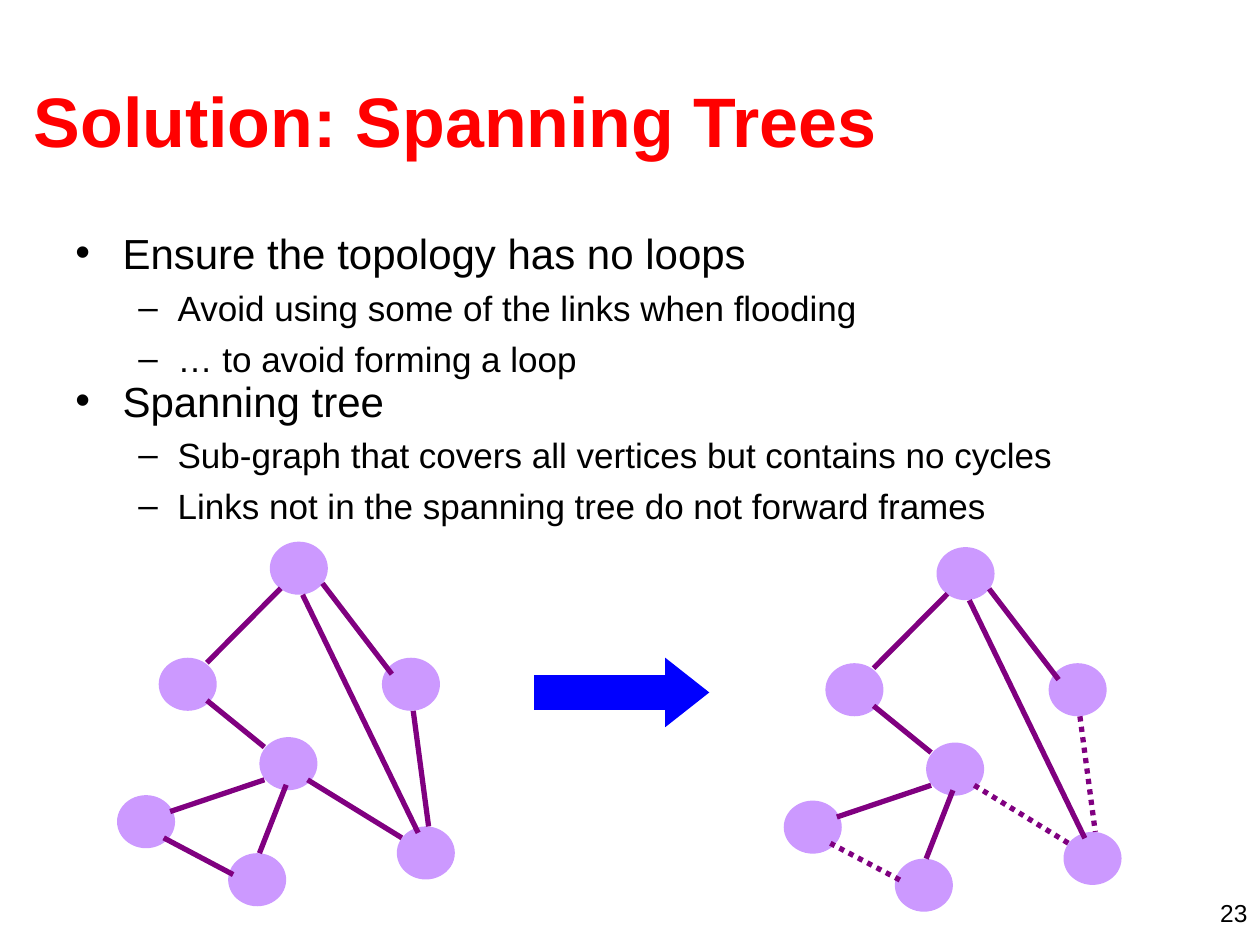
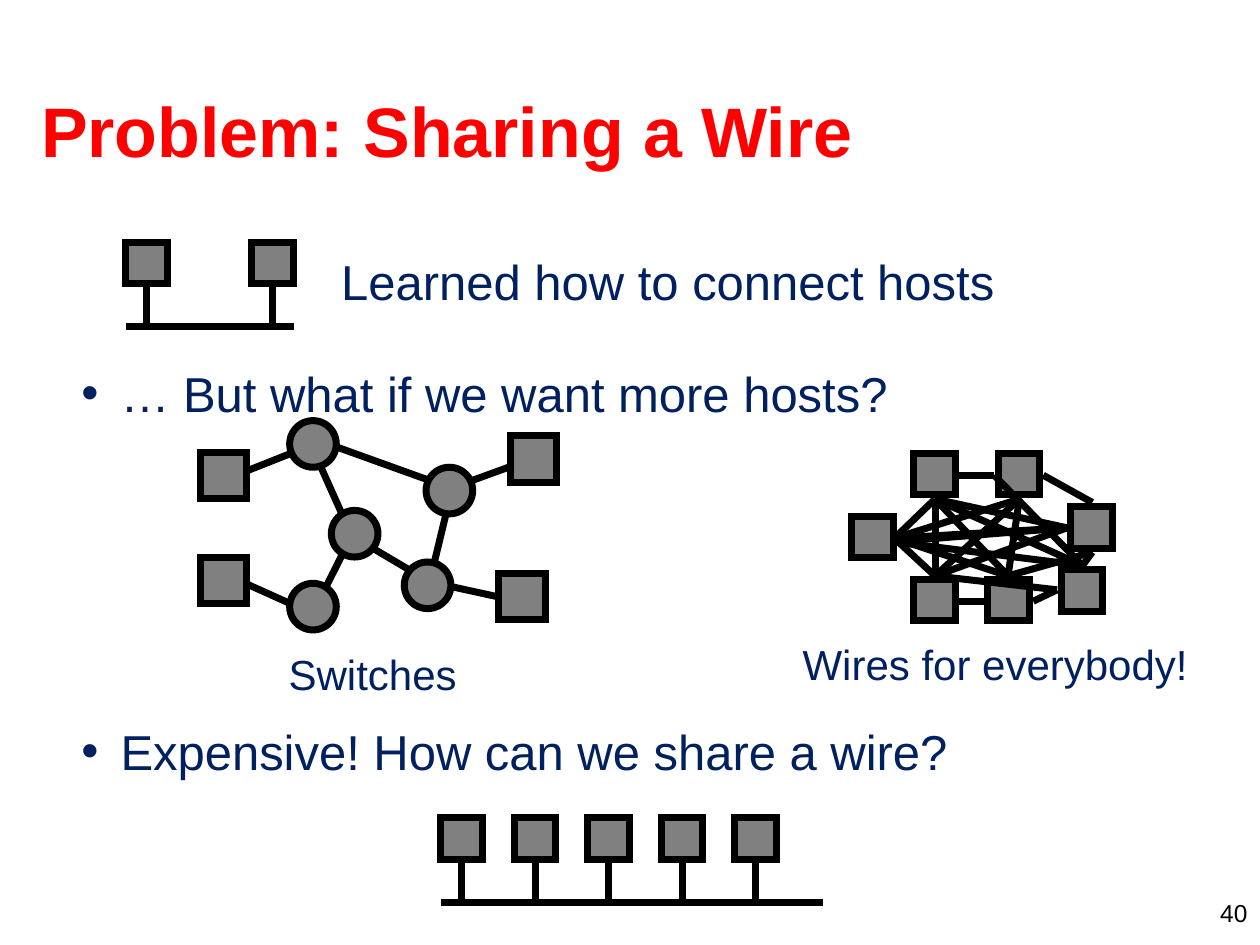
"""Build two network slides: spanning trees and sharing a wire."""
from dataclasses import dataclass
from typing import NamedTuple

from lxml import etree
from pptx import Presentation
from pptx.dml.color import RGBColor
from pptx.enum.dml import MSO_LINE
from pptx.enum.shapes import MSO_CONNECTOR, MSO_SHAPE
from pptx.enum.text import MSO_ANCHOR, MSO_AUTO_SIZE, PP_ALIGN
from pptx.oxml.ns import qn
from pptx.util import Cm, Pt

STRAIGHT = MSO_CONNECTOR.STRAIGHT
OVAL, RECT, ARROW = MSO_SHAPE.OVAL, MSO_SHAPE.RECTANGLE, MSO_SHAPE.RIGHT_ARROW
DOTS = MSO_LINE.ROUND_DOT
TOP, MIDDLE, BOTTOM = MSO_ANCHOR.TOP, MSO_ANCHOR.MIDDLE, MSO_ANCHOR.BOTTOM
LEFT, RIGHT = PP_ALIGN.LEFT, PP_ALIGN.RIGHT
NO_FIT = MSO_AUTO_SIZE.NONE


@dataclass(frozen=True)
class Theme:
    font: str = "Arial"
    title: str = "FF0000"
    text: str = "000000"
    navy: str = "002060"
    vertex: str = "CC99FF"
    edge: str = "800080"
    arrow: str = "0000FF"
    host: str = "808080"
    wire: str = "000000"
    title_size: int = 40
    large: int = 28
    medium: int = 24
    small: int = 20
    number: int = 14
    edge_width: int = 3
    wire_width: int = 4


class Box(NamedTuple):
    x: float
    y: float
    w: float
    h: float


class Link(NamedTuple):
    x1: float
    y1: float
    x2: float
    y2: float
    in_tree: bool = True


class Item(NamedTuple):
    text: str
    size: int
    color: str
    margin: float
    hang: float
    before: float = 0
    level: int = 0
    spacing: float = 1.0


T = Theme()

VERTEX_W, VERTEX_H = 1.17, 1.07
VERTICES = [(5.44, 10.92), (3.2, 13.26), (7.7, 13.26), (5.23, 14.86),
            (8.0, 16.66), (2.36, 16.03), (4.6, 17.2)]
EDGES = [
    Link(5.66, 11.86, 4.17, 13.36),
    Link(6.5, 11.76, 7.9, 13.59),
    Link(4.17, 14.12, 5.33, 15.06),
    Link(6.2, 15.72, 8.1, 16.89, False),
    Link(8.33, 14.33, 8.64, 16.66, False),
    Link(6.1, 11.99, 8.43, 16.79),
    Link(3.43, 16.36, 5.33, 15.72),
    Link(5.23, 17.2, 5.77, 15.82),
    Link(4.7, 17.63, 3.3, 16.89, False),
]

HOST = 0.84
MESH_HOSTS = [(18.42, 9.14), (21.59, 10.21), (20.12, 9.14), (17.17, 10.41),
              (18.42, 11.68), (19.91, 11.68), (21.39, 11.48)]
PORTS = {
    "west": (18.03, 10.85), "west_low": (18.01, 10.92),
    "nw": (18.85, 10.06), "nw_right": (19.33, 9.58),
    "ne": (20.55, 10.06), "ne_left": (20.04, 9.58), "ne_right": (21.03, 9.58),
    "east": (21.51, 10.64), "east_top": (22.02, 10.13),
    "east_low": (22.02, 11.13),
    "se": (21.82, 11.4), "se_left": (21.31, 11.89),
    "sw": (18.85, 11.61), "sw_right": (19.33, 12.12),
    "south": (20.32, 11.61), "south_left": (19.84, 12.12),
    "south_right": (20.83, 12.12),
}
MESH = {
    "west": ["nw", "ne", "east", "south", "sw"],
    "west_low": ["se", "east"],
    "nw": ["east", "se", "south", "sw"],
    "nw_right": ["ne_left"],
    "ne": ["south", "sw"],
    "ne_left": ["se"],
    "ne_right": ["east_top"],
    "east": ["sw"],
    "east_low": ["se", "south"],
    "se_left": ["sw", "south_right"],
    "sw_right": ["south_left"],
}

NODE = 0.94
SWITCHED_HOSTS = [(4.04, 9.12), (4.04, 11.23), (10.06, 11.56), (10.29, 8.79)]
SWITCHES = [(5.84, 8.48), (8.15, 11.33), (6.68, 10.29), (8.59, 9.42),
            (5.84, 11.76)]
SWITCH_LINKS = [
    Link(4.88, 9.53, 6.12, 9.04),
    Link(6.3, 9.04, 7.09, 10.8),
    Link(7.09, 10.8, 8.66, 11.73),
    Link(6.45, 8.89, 9.12, 9.85),
    Link(9.12, 9.83, 10.39, 9.37),
    Link(6.3, 12.37, 7.09, 10.8),
    Link(4.88, 11.73, 6.3, 12.37),
    Link(8.66, 11.73, 10.08, 12.04),
    Link(8.66, 11.73, 9.12, 9.83),
]


def rgb(color: str) -> RGBColor:
    return RGBColor.from_string(color)


def write(p, text: str, *, size: int, color: str, bold: bool = False,
          align=LEFT, spacing: float = 1.0, before: float = 0) -> None:
    p.alignment = align
    p.line_spacing = spacing
    p.space_before = Pt(before)
    r = p.add_run()
    r.text = text
    r.font.name = T.font
    r.font.size = Pt(size)
    r.font.bold = bold
    r.font.color.rgb = rgb(color)


def frame(s, box: Box, *, anchor=TOP, left: float = 0.25, right: float = 0.25,
          edge: float = 0.13):
    s.left, s.top, s.width, s.height = (Cm(v) for v in box)
    tf = s.text_frame
    tf.word_wrap = True
    tf.auto_size = NO_FIT
    tf.vertical_anchor = anchor
    tf.margin_left, tf.margin_right = Cm(left), Cm(right)
    tf.margin_top = tf.margin_bottom = Cm(edge)
    return tf


def add_slide(prs, title: str, box: Box, number: str, *, anchor=MIDDLE,
              left: float = 0.25):
    sl = prs.slides.add_slide(prs.slide_layouts[1])
    tf = frame(sl.shapes.title, box, anchor=anchor, left=left)
    write(tf.paragraphs[0], title, size=T.title_size, color=T.title, bold=True)
    s = sl.shapes.add_textbox(0, 0, 0, 0)
    tf = frame(s, Box(19.48, 17.98, 5.92, 0.64))
    write(tf.paragraphs[0], number, size=T.number, color=T.text, align=RIGHT)
    return sl


def add_list(sl, box: Box, items: list[Item]) -> None:
    tf = frame(sl.placeholders[1], box)
    for i, item in enumerate(items):
        p = tf.add_paragraph() if i else tf.paragraphs[0]
        p.level = item.level
        pr = p._p.get_or_add_pPr()
        pr.set("marL", str(Cm(item.margin)))
        pr.set("indent", str(-Cm(item.hang)))
        write(p, item.text, size=item.size, color=item.color,
              spacing=item.spacing, before=item.before)


def add_caption(sl, text: str, box: Box, size: int) -> None:
    tf = frame(sl.shapes.add_textbox(0, 0, 0, 0), box, left=0.1, right=0.1, edge=0)
    write(tf.paragraphs[0], text, size=size, color=T.navy, spacing=1.07)


def add_shape(sl, kind, box: Box, fill: str, line: str | None = None):
    s = sl.shapes.add_shape(kind, *(Cm(v) for v in box))
    s.shadow.inherit = False
    s.fill.solid()
    s.fill.fore_color.rgb = rgb(fill)
    if line is None:
        s.line.fill.background()
    else:
        s.line.color.rgb = rgb(line)
        s.line.width = Pt(T.wire_width)
        ln = s._element.spPr.find(qn("a:ln"))
        etree.SubElement(ln, qn("a:miter"), lim="800000")
    return s


def add_line(sl, link: Link, color: str = T.wire, width: float = T.wire_width) -> None:
    c = sl.shapes.add_connector(STRAIGHT, *(Cm(v) for v in link[:4]))
    c.line.color.rgb = rgb(color)
    c.line.width = Pt(width)
    if not link.in_tree:
        c.line.dash_style = DOTS
    etree.SubElement(c._element.spPr, qn("a:effectLst"))


def add_nodes(sl, kind, places: list[tuple[float, float]], size: float) -> None:
    for x, y in places:
        add_shape(sl, kind, Box(x, y, size, size), T.host, T.wire)


def add_graph(sl, dx: float, dy: float, pruned: bool) -> None:
    for x, y in VERTICES:
        add_shape(sl, OVAL, Box(x + dx, y + dy, VERTEX_W, VERTEX_H), T.vertex)
    for e in EDGES:
        link = Link(e.x1 + dx, e.y1 + dy, e.x2 + dx, e.y2 + dy,
                    e.in_tree or not pruned)
        add_line(sl, link, T.edge, T.edge_width)


def add_bus(sl, x: float, y: float, count: int, pitch: float, length: float) -> None:
    lefts = [x + i * pitch for i in range(count)]
    add_nodes(sl, RECT, [(left, y) for left in lefts], HOST)
    for left in lefts:
        mid = left + HOST / 2
        add_line(sl, Link(mid, y + HOST, mid, y + 2 * HOST))
    wire_y = y + 2 * HOST + 0.03
    add_line(sl, Link(x, wire_y, x + length, wire_y))


def spanning_trees(prs) -> None:
    sl = add_slide(prs, "Solution: Spanning Trees",
                   Box(0.43, 0.81, 24.33, 3.18), "23")

    def point(text: str, **kw) -> Item:
        return Item(text, T.medium, T.text, 0.95, 0.95, **kw)

    def detail(text: str) -> Item:
        return Item(text, T.small, T.text, 2.06, 0.79, before=5, level=1)

    add_list(sl, Box(1.27, 4.45, 22.86, 6.38), [
        point("Ensure the topology has no loops"),
        detail("Avoid using some of the links when flooding"),
        detail("… to avoid forming a loop"),
        point("Spanning tree", before=6, spacing=0.7),
        detail("Sub-graph that covers all vertices but contains no cycles"),
        detail("Links not in the spanning tree do not forward frames"),
    ])
    add_graph(sl, 0, 0, pruned=False)
    s = add_shape(sl, ARROW, Box(10.77, 13.26, 3.53, 1.4), T.arrow)
    s.adjustments[0], s.adjustments[1] = 0.5, 0.635
    add_graph(sl, 13.44, 0.11, pruned=True)


def sharing_a_wire(prs) -> None:
    sl = add_slide(prs, "Problem: Sharing a Wire",
                   Box(0.43, 1.22, 24.33, 2.36), "40", anchor=BOTTOM, left=0.4)
    add_list(sl, Box(1.27, 7.19, 23.55, 11.86), [
        Item("… But what if we want more hosts?", T.large, T.navy, 0.91, 0.79),
        Item("Expensive! How can we share a wire?", T.large, T.navy, 0.91, 0.79,
             before=171),
    ])
    add_bus(sl, 8.89, 16.48, count=5, pitch=1.48, length=7.7)
    add_nodes(sl, RECT, MESH_HOSTS, HOST)
    for start, ends in MESH.items():
        for end in ends:
            add_line(sl, Link(*PORTS[start], *PORTS[end]))
    add_caption(sl, "Switches", Box(5.72, 13.0, 5.51, 1.24), T.medium)
    add_caption(sl, "Wires for everybody!", Box(16.08, 12.8, 8.46, 1.24), T.medium)
    add_bus(sl, 2.54, 4.88, count=2, pitch=2.54, length=3.38)
    add_caption(sl, "Learned how to connect hosts", Box(6.78, 4.98, 15.44, 1.37),
                T.large)
    for link in SWITCH_LINKS:
        add_line(sl, link)
    add_nodes(sl, RECT, SWITCHED_HOSTS, NODE)
    add_nodes(sl, OVAL, SWITCHES, NODE)


def main() -> None:
    prs = Presentation()
    prs.slide_width, prs.slide_height = Cm(25.4), Cm(19.05)
    spanning_trees(prs)
    sharing_a_wire(prs)
    prs.save("out.pptx")


if __name__ == "__main__":
    main()
